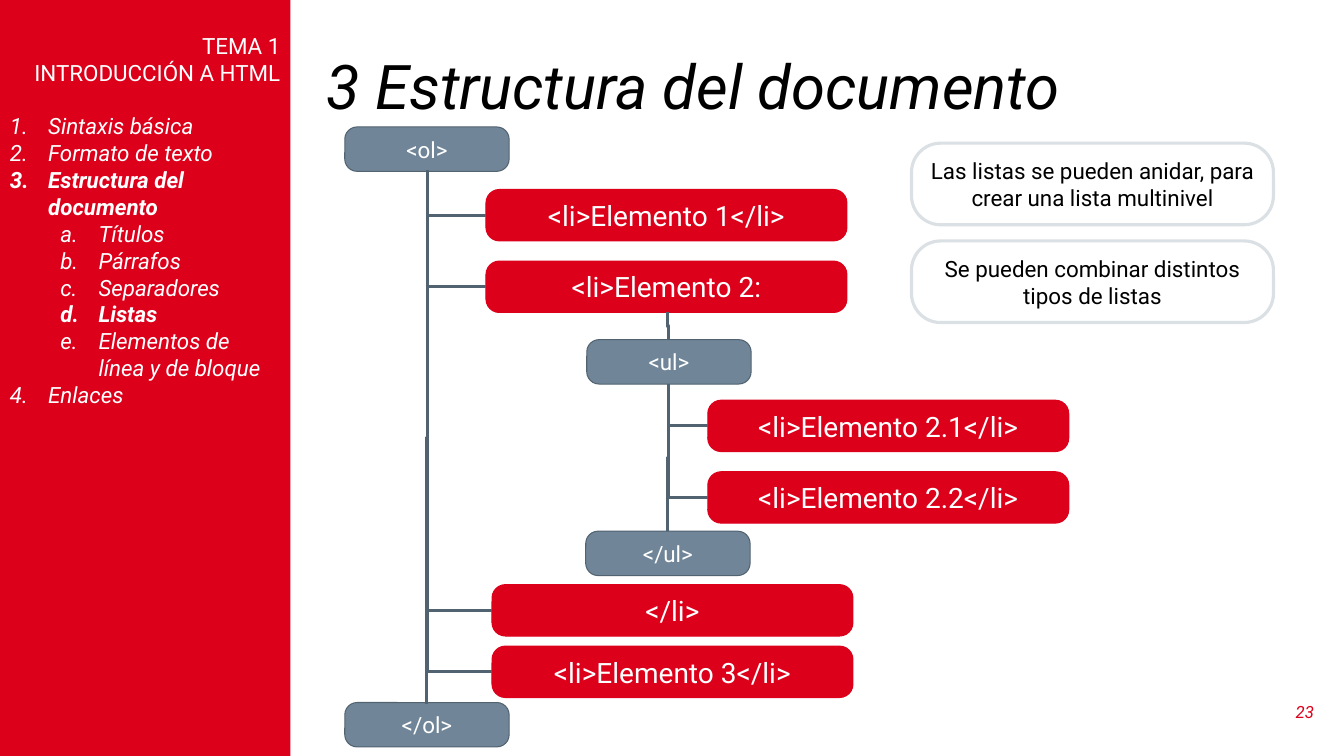
from pptx import Presentation, util as u
from pptx.dml.color import RGBColor
from pptx.enum import shapes, text
from lxml import etree

RED = RGBColor(0xDC, 0x00, 0x1B)
SLATE = RGBColor(0x70, 0x86, 0x98)
DARK = RGBColor(0x51, 0x62, 0x70)
PALE = RGBColor(0xDA, 0xE0, 0xE4)
WHITE = RGBColor(255, 255, 255)
BLACK = RGBColor(0, 0, 0)
FONT = "Roboto"
NS = "{http://schemas.openxmlformats.org/drawingml/2006/main}"

# Content
TITLE = "3 Estructura del documento"
NUMBER = "23"
HEADS = ["TEMA 1", "INTRODUCCIÓN A HTML"]
INDEX = [  # level, text, bold
    (0, "Sintaxis básica", False),
    (0, "Formato de texto", False),
    (0, "Estructura del documento", True),
    (1, "Títulos", False),
    (1, "Párrafos", False),
    (1, "Separadores", False),
    (1, "Listas", True),
    (1, "Elementos de línea y de bloque", False),
    (0, "Enlaces", False),
]
NUMERALS = ["arabicPeriod", "alphaLcPeriod"]
ITEMS = [  # left, top, text, trunk x, trunk top
    (4.82, 1.88, "<li>Elemento 1</li>", 4.24, 1.69),
    (4.82, 2.59, "<li>Elemento 2:", 4.24, 1.69),
    (7.02, 3.97, "<li>Elemento 2.1</li>", 6.63, 3.81),
    (7.02, 4.68, "<li>Elemento 2.2</li>", 6.63, 3.81),
    (4.88, 5.8, "</li>", 4.24, 1.69),
    (4.88, 6.41, "<li>Elemento 3</li>", 4.24, 1.69),
]
TAGS = [(3.42, 1.26, "<ol>"), (5.82, 3.37, "<ul>"),
        (5.81, 5.27, "</ul>"), (3.42, 6.97, "</ol>")]
TRUNKS = [  # top x, top y, bottom x, bottom y
    (4.24, 1.7, 4.23, 6.98),
    (6.62, 3.1, 6.63, 3.37),
    (6.63, 3.81, 6.62, 5.27),
]
NOTES = [(1.42, "Las listas se pueden anidar, para crear una lista multinivel"),
         (2.39, "Se pueden combinar distintos tipos de listas")]

ITEM_W, ITEM_H = 3.58, 0.51
TAG_W, TAG_H = 1.63, 0.44
NOTE_W, NOTE_H = 3.59, 0.81

prs = Presentation()
prs.slide_width, prs.slide_height = u.Inches(13.33), u.Inches(7.5)
slide = prs.slides.add_slide(prs.slide_layouts[5])


def style(par, size, color, align, bold=False, italic=False):
    font = par.font
    font.name, font.size = FONT, u.Pt(size)
    font.bold, font.italic = bold, italic
    font.color.rgb = color
    par.alignment = align


def add_box(kind, box, fill=None, line=None, width=0.75):
    shape = slide.shapes.add_shape(kind, *map(u.Inches, box))
    shape.shadow.inherit = False
    if fill is None:
        shape.fill.background()
    else:
        shape.fill.solid()
        shape.fill.fore_color.rgb = fill
    if line is None:
        shape.line.fill.background()
    else:
        shape.line.color.rgb = line
        shape.line.width = u.Pt(width)
    shape.text_frame.word_wrap = True
    return shape


def add_label(box, words, round_by, size, color, fill, line, width=0.75):
    shape = add_box(shapes.MSO_SHAPE.ROUNDED_RECTANGLE, box, fill, line, width)
    shape.adjustments[0] = round_by
    shape.text_frame.text = words
    style(shape.text_frame.paragraphs[0], size, color, text.PP_ALIGN.CENTER)


def add_elbow(x1, y1, x2, y2):
    link = slide.shapes.add_connector(
        shapes.MSO_CONNECTOR.ELBOW, *map(u.Inches, (x1, y1, x2, y2)))
    link.line.color.rgb = DARK
    link.line.width = u.Pt(2.25)
    props = link._element.spPr
    etree.SubElement(props, NS + "effectLst")
    return props


# Title
title = slide.shapes.title
title.left, title.top, title.width, title.height = map(
    u.Inches, (3.14, 0.5, 9.99, 0.78))
frame = title.text_frame
frame.text = TITLE
frame.auto_size = text.MSO_AUTO_SIZE.NONE
frame.vertical_anchor = text.MSO_ANCHOR.MIDDLE
frame.paragraphs[0].line_spacing = 0.9
style(frame.paragraphs[0], 44, BLACK, text.PP_ALIGN.LEFT, italic=True)

# Sidebar with the numbered index
side = add_box(shapes.MSO_SHAPE.RECTANGLE, (0, 0, 2.88, 7.5), RED)
frame = side.text_frame
frame.vertical_anchor = text.MSO_ANCHOR.TOP
frame.margin_top = u.Inches(0.32)
frame.text = "\n".join(HEADS + [words for _, words, _ in INDEX])
pars = frame.paragraphs
for par in pars[:len(HEADS)]:
    style(par, 16, WHITE, text.PP_ALIGN.RIGHT)
for par, (level, _, bold) in zip(pars[len(HEADS):], INDEX):
    style(par, 16, WHITE, text.PP_ALIGN.LEFT, bold, True)
    par.level = level
    props = par._p.get_or_add_pPr()
    props.set("marL", str(u.Inches(0.38 + 0.5 * level)))
    props.set("indent", str(u.Inches(-0.38)))
    bullet = etree.Element(NS + "buAutoNum", type=NUMERALS[level])
    props.insert(0, bullet)
pars[len(HEADS)].space_before = u.Pt(19)

# Slide number
num = slide.shapes.add_textbox(*map(u.Inches, (12.62, 6.86, 0.51, 0.4)))
num.text_frame.word_wrap = True
num.text_frame.vertical_anchor = text.MSO_ANCHOR.MIDDLE
num.text_frame.text = NUMBER
style(num.text_frame.paragraphs[0], 12, RED, text.PP_ALIGN.RIGHT, italic=True)

# List items and tags
for left, top, words, _, _ in ITEMS:
    add_label((left, top, ITEM_W, ITEM_H), words, 0.261, 20, WHITE, RED, RED)
for left, top, words in TAGS:
    add_label((left, top, TAG_W, TAG_H), words, 0.277, 16, WHITE, SLATE, DARK)

# Branches: one bend from each item to its trunk
for left, top, _, x, y in ITEMS:
    props = add_elbow(left, top + ITEM_H / 2, x, y)
    props.find(NS + "prstGeom").set("prst", "bentConnector2")

# Trunks: elbows turned a quarter so that they run downwards
for x1, y1, x2, y2 in TRUNKS:
    midx, midy = (x1 + x2) / 2, (y1 + y2) / 2
    half, jog = (y2 - y1) / 2, (x1 - x2) / 2
    props = add_elbow(midx - half, midy - jog, midx + half, midy + jog)
    props.find(NS + "xfrm").set("rot", str(90 * 60000))

# Notes
for top, words in NOTES:
    add_label((9.04, top, NOTE_W, NOTE_H), words, 0.357, 16, BLACK,
              None, PALE, 2.25)

prs.save("out.pptx")
